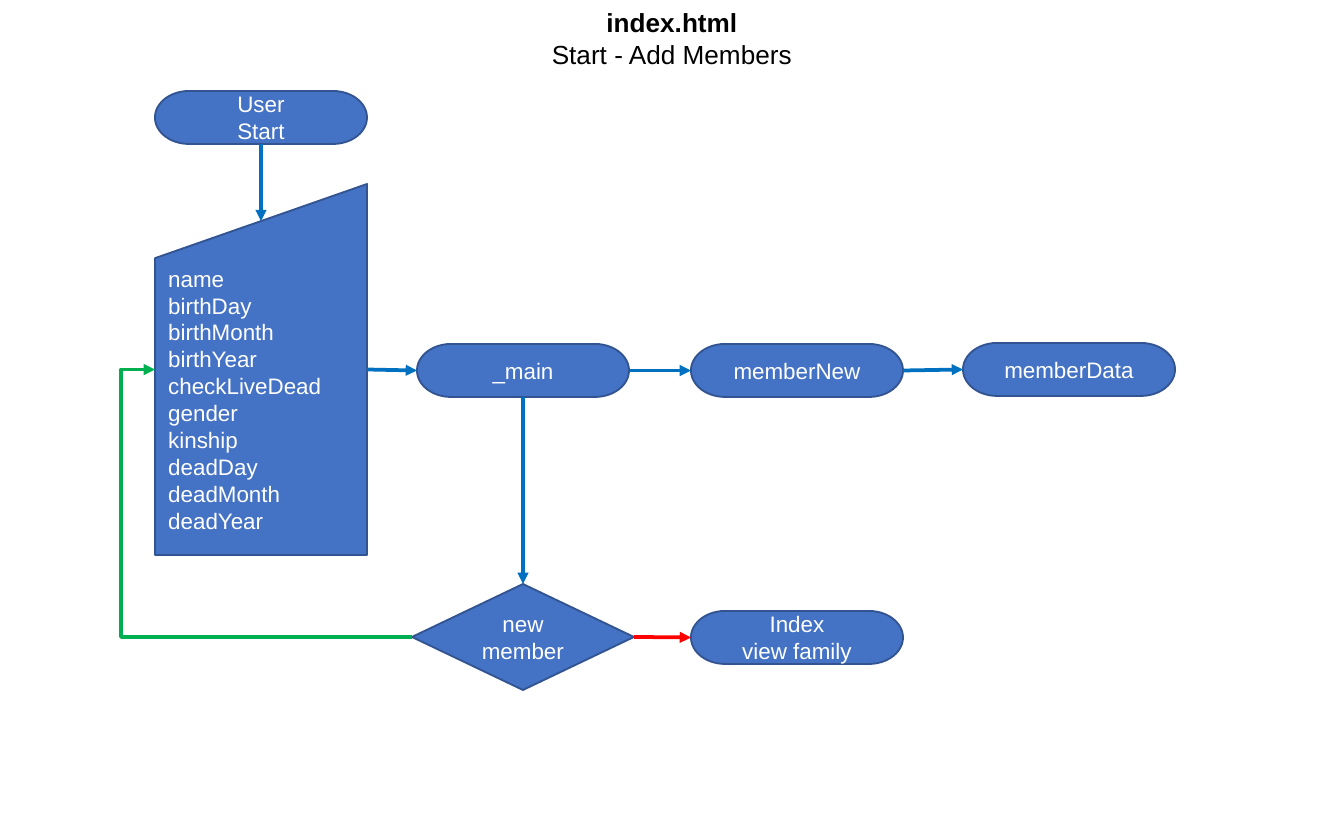
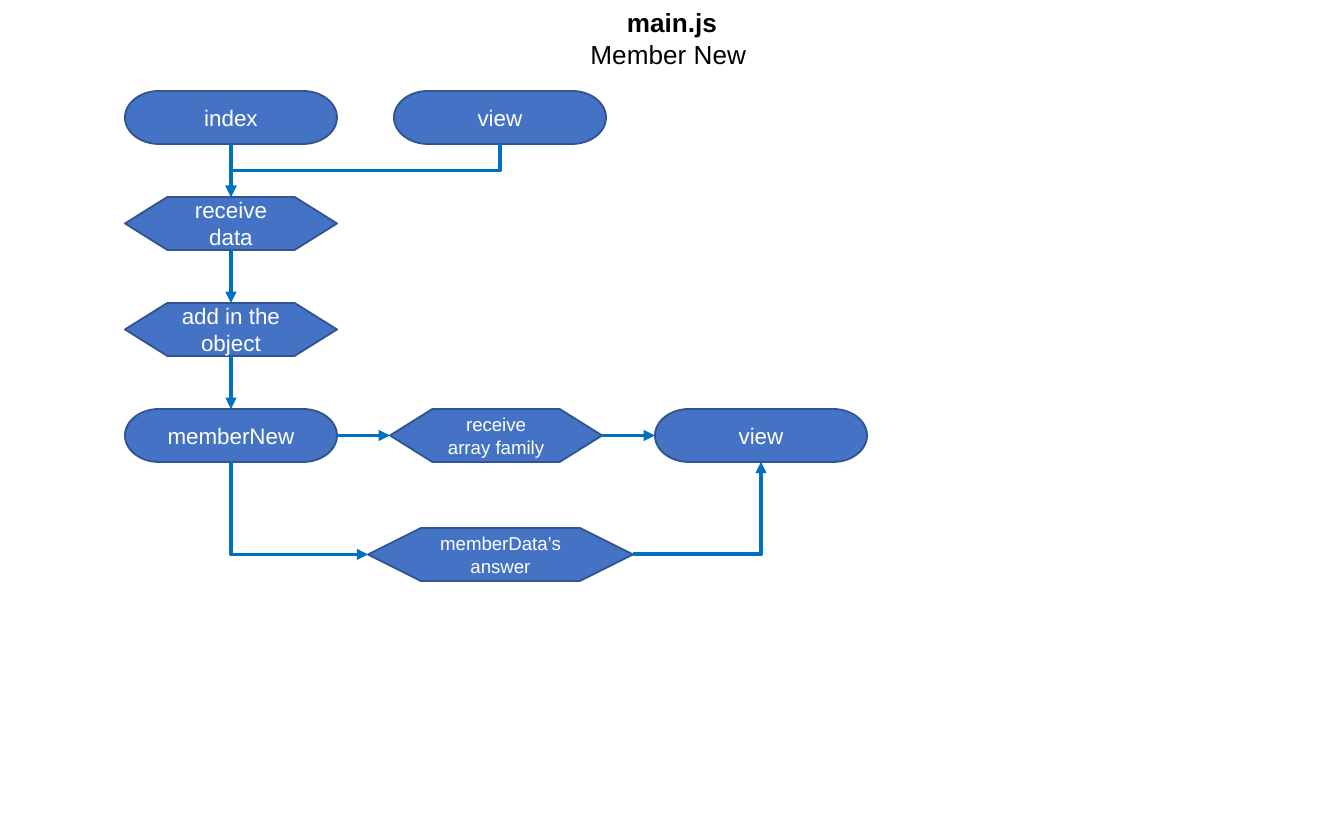
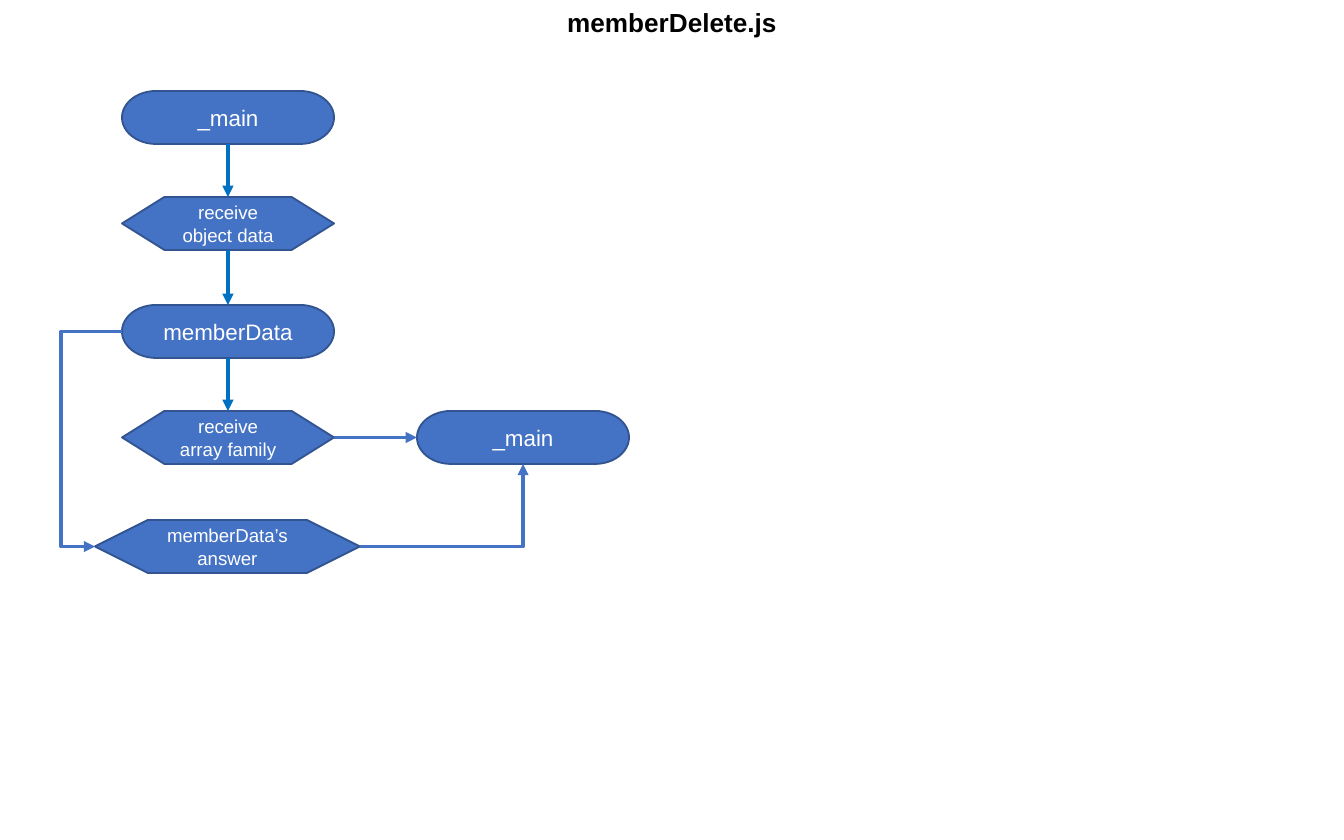
from lxml.etree import SubElement
from pptx import Presentation
from pptx.dml.color import RGBColor
from pptx.enum.shapes import MSO_CONNECTOR as LINE, MSO_SHAPE as SHAPE
from pptx.enum.text import MSO_ANCHOR as ANCHOR, MSO_AUTO_SIZE as AUTO, PP_ALIGN as ALIGN
from pptx.oxml.ns import qn
from pptx.util import Pt

PX = 914400 / 134.4
COLORS = {
    "box": "4472C4",
    "edge": "325491",
    "flow": "0070C0",
    "yes": "00B050",
    "no": "FF0000",
    "text": "FFFFFF",
    "title": "000000",
}
FONT = "Arial"
TOP, LEFT, BOTTOM, RIGHT = range(4)
BOX_W, BOX_H = 212, 53
WIDE_W = 265
FIRST_Y, STEP_Y = 91, 106


def px(n):
    return round(n * PX)


def color(name):
    return RGBColor.from_string(COLORS[name])


class Flowchart:
    def __init__(self):
        self.prs = Presentation()
        self.prs.slide_width, self.prs.slide_height = px(1344), px(840)
        self.s = None

    def slide(self, *lines):
        self.s = self.prs.slides.add_slide(self.prs.slide_layouts[6])
        tb = self.s.shapes.add_textbox(0, 0, px(1344), px(46 if len(lines) == 1 else 77))
        tf = tb.text_frame
        tf.word_wrap = True
        tf.auto_size = AUTO.SHAPE_TO_FIT_TEXT
        self.label(tf, lines, 14, "title", ALIGN.CENTER)
        tf.paragraphs[0].runs[0].font.bold = True

    def label(self, tf, lines, size, ink, align):
        tf.text = "\n".join(lines)
        for p in tf.paragraphs:
            p.alignment = align
            for r in p.runs:
                r.font.name = FONT
                r.font.size = Pt(size)
                r.font.color.rgb = color(ink)

    def node(self, kind, x, y, *lines, w=BOX_W, h=BOX_H, size=12, align=ALIGN.CENTER):
        sp = self.s.shapes.add_shape(kind, px(x), px(y), px(w), px(h))
        sp.shadow.inherit = False
        sp.fill.solid()
        sp.fill.fore_color.rgb = color("box")
        sp.line.color.rgb = color("edge")
        sp.line.width = Pt(1)
        tf = sp.text_frame
        tf.word_wrap = True
        tf.vertical_anchor = ANCHOR.MIDDLE
        self.label(tf, lines, size, "text", align)
        return sp

    def end(self, x, y, *lines):
        return self.node(SHAPE.FLOWCHART_TERMINATOR, x, y, *lines)

    def step(self, x, y, *lines, w=BOX_W, size=10):
        return self.node(SHAPE.FLOWCHART_PREPARATION, x, y, *lines, w=w, size=size)

    def form(self, x, y, w, h, *fields):
        sp = self.node(SHAPE.FLOWCHART_MANUAL_INPUT, x, y, *fields, w=w, h=h, align=ALIGN.LEFT)
        sp.text_frame.vertical_anchor = ANCHOR.TOP
        return sp

    def point(self, sp, side):
        x, y = sp.left + sp.width // 2, sp.top + sp.height // 2
        slant = sp.auto_shape_type == SHAPE.FLOWCHART_MANUAL_INPUT
        top = sp.top + (sp.height // 10 if slant else 0)
        return {
            TOP: (x, top),
            LEFT: (sp.left, y),
            BOTTOM: (x, sp.top + sp.height),
            RIGHT: (sp.left + sp.width, y),
        }[side]

    def connect(self, kind, a, a_side, b, b_side, ink):
        start, stop = self.point(a, a_side), self.point(b, b_side)
        c = self.s.shapes.add_connector(kind, *start, *stop)
        c.begin_connect(a, a_side)
        c.end_connect(b, b_side)
        c.end_x, c.end_y = stop
        c.line.color.rgb = color(ink)
        c.line.width = Pt(2)
        pr = c._element.spPr
        SubElement(pr.find(qn("a:ln")), qn("a:tailEnd"), type="triangle")
        SubElement(pr, qn("a:effectLst"))
        return c, start, stop

    def arrow(self, a, a_side, b, b_side, ink="flow"):
        self.connect(LINE.STRAIGHT, a, a_side, b, b_side, ink)

    def elbow(self, a, a_side, b, b_side, ink="flow", lane=None):
        c, (x1, y1), (x2, y2) = self.connect(LINE.ELBOW, a, a_side, b, b_side, ink)
        dx, dy = x2 - x1, y2 - y1
        w, h = abs(dx), abs(dy)
        pr = c._element.spPr
        xfrm = pr.find(qn("a:xfrm"))
        if a_side == BOTTOM:
            w, h = h, w
            xfrm.rot = 270 if dx > 0 else 90
            xfrm.flipH, xfrm.flipV = dx > 0, False
        else:
            xfrm.rot = 180 if a_side == LEFT else 0
            xfrm.flipH, xfrm.flipV = False, (dy > 0) == (a_side == LEFT)
        c.left, c.top = (x1 + x2 - w) // 2, (y1 + y2 - h) // 2
        c.width, c.height = w, h
        geom = pr.find(qn("a:prstGeom"))
        parallel = a_side % 2 == b_side % 2
        geom.set("prst", "bentConnector3" if parallel else "bentConnector2")
        if lane is not None:
            bend = round(100000 * abs(px(lane) - x1) / abs(dx))
            SubElement(geom.find(qn("a:avLst")), qn("a:gd"), name="adj1", fmla=f"val {bend}")


def add_members(f):
    f.slide("index.html", "Start - Add Members")
    start = f.end(155, FIRST_Y, "User", "Start")
    form = f.form(155, 184, BOX_W, 371, "name", "birthDay", "birthMonth", "birthYear",
                  "checkLiveDead", "gender", "kinship", "deadDay", "deadMonth", "deadYear")
    main = f.end(417, 344, "_main")
    new = f.end(691, 344, "memberNew")
    data = f.end(963, 343, "memberData")
    again = f.node(SHAPE.FLOWCHART_DECISION, 412, 584, "new member", w=222, h=106)
    view = f.end(691, 611, "Index", "view family")
    f.arrow(start, BOTTOM, form, TOP)
    for a, b in ((form, main), (main, new), (new, data)):
        f.arrow(a, RIGHT, b, LEFT)
    f.arrow(main, BOTTOM, again, TOP)
    f.arrow(again, RIGHT, view, LEFT, "no")
    f.elbow(again, LEFT, form, LEFT, "yes", lane=121)


def member_new(f):
    f.slide("main.js", "Member New ")
    rows = [FIRST_Y + i * STEP_Y for i in range(4)]
    index = f.end(125, rows[0], "index")
    receive = f.step(125, rows[1], "receive data", size=12)
    add = f.step(125, rows[2], "add in the", "object", size=12)
    new = f.end(125, rows[3], "memberNew")
    source = f.end(394, rows[0], "view")
    family = f.step(390, rows[3], "receive array family")
    view = f.end(655, rows[3], "view")
    answer = f.step(368, 528, "memberData’s answer", w=WIDE_W)
    for a, b in ((index, receive), (receive, add), (add, new)):
        f.arrow(a, BOTTOM, b, TOP)
    for a, b in ((new, family), (family, view)):
        f.arrow(a, RIGHT, b, LEFT)
    f.elbow(source, BOTTOM, receive, TOP)
    f.elbow(new, BOTTOM, answer, LEFT)
    f.elbow(answer, RIGHT, view, BOTTOM)


def member_delete(f):
    f.slide("memberDelete.js")
    main = f.end(122, FIRST_Y, "_main")
    receive = f.step(122, FIRST_Y + STEP_Y, "receive object data")
    data = f.end(122, 305, "memberData")
    family = f.step(122, 305 + STEP_Y, "receive array family")
    result = f.end(417, 305 + STEP_Y, "_main")
    answer = f.step(95, 520, "memberData’s answer", w=WIDE_W)
    for a, b in ((main, receive), (receive, data), (data, family)):
        f.arrow(a, BOTTOM, b, TOP)
    f.arrow(family, RIGHT, result, LEFT, "box")
    f.elbow(answer, RIGHT, result, BOTTOM, "box")
    f.elbow(data, LEFT, answer, LEFT, "box", lane=61)


chart = Flowchart()
for build in (add_members, member_new, member_delete):
    build(chart)
chart.prs.save("out.pptx")
